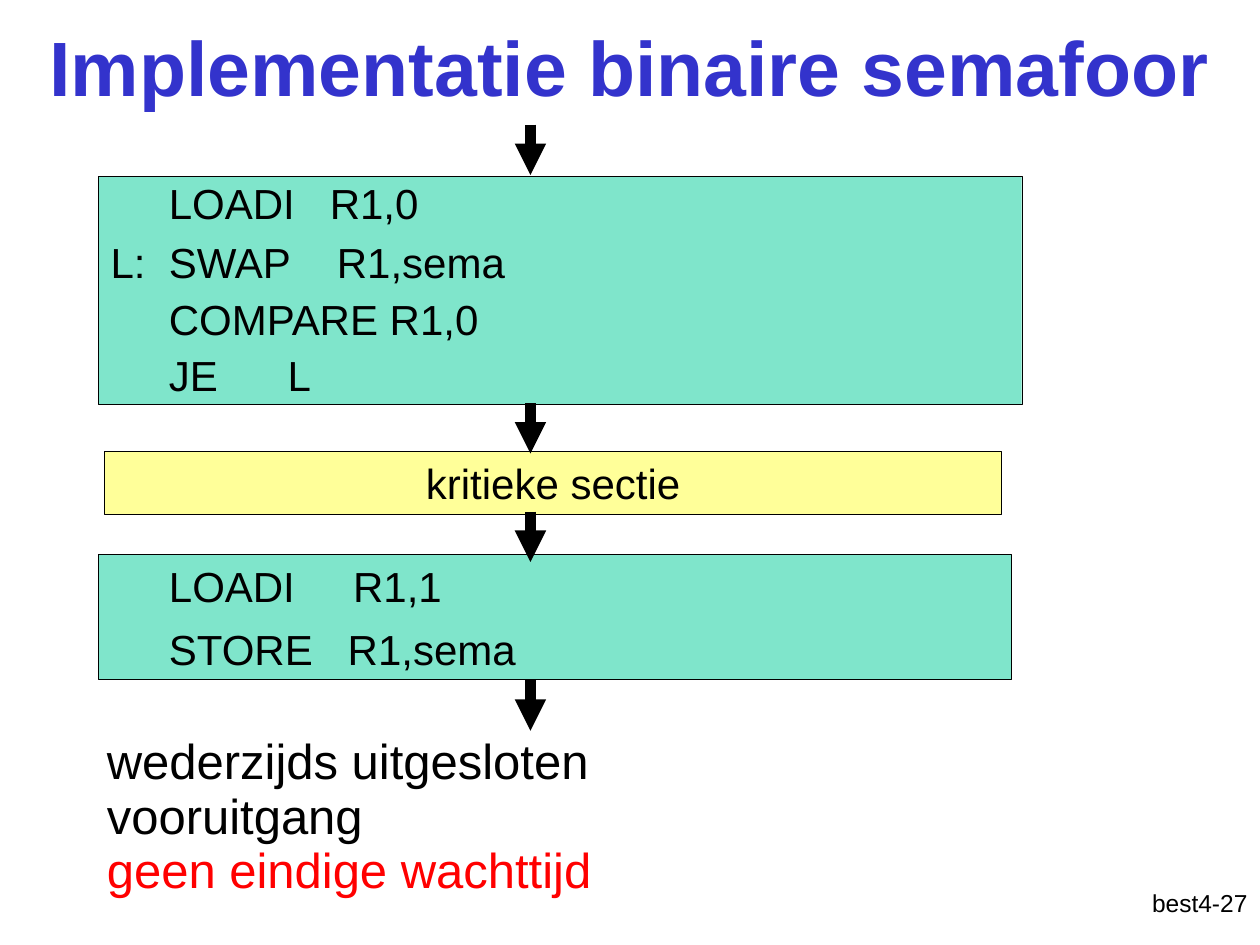
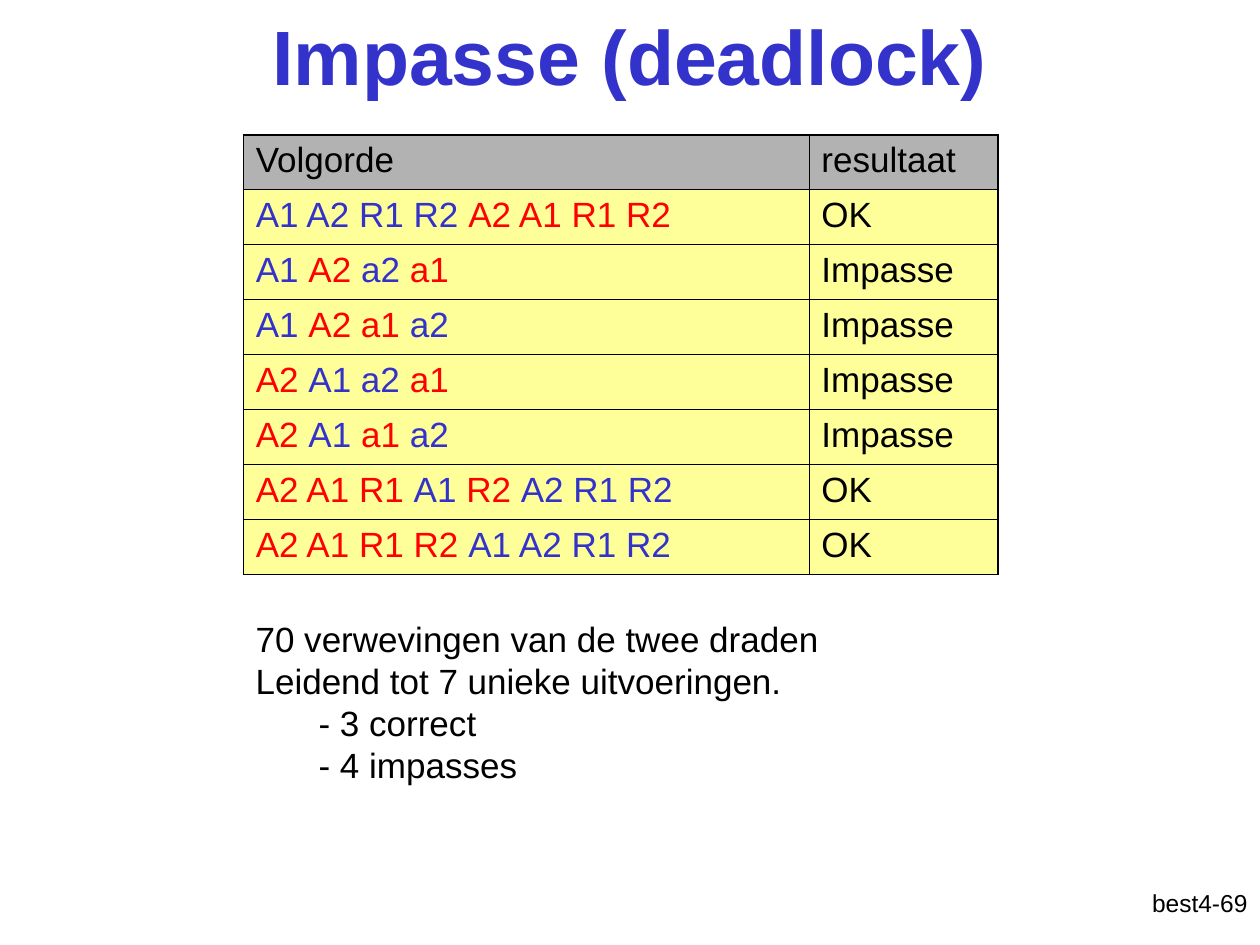
from lxml import etree
from pptx import Presentation
from pptx.dml.color import RGBColor
from pptx.enum.shapes import MSO_CONNECTOR, MSO_SHAPE
from pptx.enum.text import MSO_ANCHOR, PP_ALIGN
from pptx.oxml.ns import qn
from pptx.util import Inches, Pt

RECTANGLE = MSO_SHAPE.RECTANGLE
STRAIGHT = MSO_CONNECTOR.STRAIGHT
TOP, MIDDLE = MSO_ANCHOR.TOP, MSO_ANCHOR.MIDDLE
LEFT, CENTER, RIGHT = PP_ALIGN.LEFT, PP_ALIGN.CENTER, PP_ALIGN.RIGHT

BLACK = RGBColor(0x00, 0x00, 0x00)
BLUE = RGBColor(0x33, 0x33, 0xCC)
RED = RGBColor(0xFF, 0x00, 0x00)
GREEN = RGBColor(0x00, 0xCC, 0x99)
YELLOW = RGBColor(0xFF, 0xFF, 0x99)
GREY = RGBColor(0xB2, 0xB2, 0xB2)
FONT = "Arial"


def add_span(para, text, size, color=BLACK, bold=False):
    span = para.add_run()
    span.text = text
    span.font.name = FONT
    span.font.size = Pt(size)
    span.font.color.rgb = color
    span.font.bold = bold


def write_lines(box, lines, size, align=LEFT, anchor=TOP, before=0, bold=False):
    frame = box.text_frame
    frame.word_wrap = True
    frame.vertical_anchor = anchor
    for index, (text, spacing, color) in enumerate(lines):
        para = frame.add_paragraph() if index else frame.paragraphs[0]
        para.alignment = align
        para.line_spacing = spacing
        if index:
            para.space_before = Pt(before)
        add_span(para, text, size, color, bold)


deck = Presentation()
deck.slide_width, deck.slide_height = Inches(10), Inches(7.5)

pages = []
for title, title_top, footer in [
    ("Implementatie binaire semafoor", -0.1, "best4-27"),
    ("Impasse (deadlock)", -0.19, "best4-69"),
]:
    page = deck.slides.add_slide(deck.slide_layouts[6])
    footer_box = page.shapes.add_textbox(Inches(7.92), Inches(7), Inches(2.08), Inches(0.5))
    write_lines(footer_box, [(footer, 1.0, BLACK)], 14, RIGHT)
    title_box = page.shapes.add_textbox(0, Inches(title_top), Inches(10), Inches(1.25))
    write_lines(title_box, [(title, 1.0, BLUE)], 44, CENTER, MIDDLE, bold=True)
    pages.append(page)
semaphore_page, deadlock_page = pages

steps = [
    (0.78, 1.4, 7.33, 1.81, GREEN, LEFT, [
        ("     LOADI   R1,0", 0.9, BLACK),
        ("L:  SWAP    R1,sema", 0.6, BLACK),
        ("     COMPARE R1,0", 0.6, BLACK),
        ("     JE      L", 0.6, BLACK),
    ]),
    (0.78, 4.4, 7.25, 0.99, GREEN, LEFT, [
        ("     LOADI     R1,1", 1.0, BLACK),
        ("     STORE   R1,sema", 0.7, BLACK),
    ]),
    (0.83, 3.58, 7.12, 0.5, YELLOW, CENTER, [("kritieke sectie", 1.0, BLACK)]),
]
for left, top, width, height, color, align, lines in steps:
    step = semaphore_page.shapes.add_shape(
        RECTANGLE, Inches(left), Inches(top), Inches(width), Inches(height))
    step.shadow.inherit = False
    step.fill.solid()
    step.fill.fore_color.rgb = color
    if color == GREEN:
        tint = step._element.spPr.find(qn("a:solidFill"))[0]
        etree.SubElement(tint, qn("a:alpha"), val="50000")
    step.line.color.rgb = BLACK
    step.line.width = Pt(0.25)
    write_lines(step, lines, 24, align, MIDDLE, before=15)

properties = semaphore_page.shapes.add_textbox(
    Inches(0.75), Inches(5.95), Inches(7.92), Inches(1.2))
write_lines(properties, [
    ("wederzijds uitgesloten", 0.5, BLACK),
    ("vooruitgang", 0.4, BLACK),
    ("geen eindige wachttijd", 0.4, RED),
], 28, before=17.5)

for top in (0.99, 3.2, 4.06, 5.4):
    arrow = semaphore_page.shapes.add_connector(
        STRAIGHT, Inches(4.21), Inches(top), Inches(4.21), Inches(top + 0.4))
    arrow.line.color.rgb = BLACK
    arrow.line.width = Pt(6)
    etree.SubElement(arrow.line._get_or_add_ln(), qn("a:tailEnd"), type="triangle")
    etree.SubElement(arrow._element.spPr, qn("a:effectLst"))

rows = [
    ([("Volgorde", BLACK)], "resultaat"),
    ([("A1 A2 R1 R2 ", BLUE), ("A2 A1 R1 R2", RED)], "OK"),
    ([("A1 ", BLUE), ("A2 ", RED), ("a2 ", BLUE), ("a1", RED)], "Impasse"),
    ([("A1 ", BLUE), ("A2 a1 ", RED), ("a2", BLUE)], "Impasse"),
    ([("A2 ", RED), ("A1 a2 ", BLUE), ("a1", RED)], "Impasse"),
    ([("A2 ", RED), ("A1 ", BLUE), ("a1 ", RED), ("a2", BLUE)], "Impasse"),
    ([("A2 A1 R1 ", RED), ("A1 ", BLUE), ("R2 ", RED), ("A2 R1 R2", BLUE)], "OK"),
    ([("A2 A1 R1 R2 ", RED), ("A1 A2 R1 R2", BLUE)], "OK"),
]
orders = deadlock_page.shapes.add_table(
    len(rows), 2, Inches(1.93), Inches(1.07), Inches(5.98), Inches(3.49)).table
orders.first_row = orders.horz_banding = False
orders.columns[0].width, orders.columns[1].width = Inches(4.49), Inches(1.5)

for row_index, (order, result) in enumerate(rows):
    for column_index, spans in enumerate([order, [(result, BLACK)]]):
        cell = orders.cell(row_index, column_index)
        for text, color in spans:
            add_span(cell.text_frame.paragraphs[0], text, 20, color)
        thick_sides = {"T": row_index == 0, "R": column_index == 1}
        for side in "LRTB":
            width = Pt(1.08 if thick_sides.get(side) else 0.45)
            border = etree.SubElement(
                cell._tc.get_or_add_tcPr(), qn(f"a:ln{side}"), w=str(width))
            paint = etree.SubElement(border, qn("a:solidFill"))
            etree.SubElement(paint, qn("a:srgbClr"), val=str(BLACK))
        cell.fill.solid()
        cell.fill.fore_color.rgb = YELLOW if row_index else GREY

summary = deadlock_page.shapes.add_textbox(
    Inches(1.93), Inches(4.85), Inches(5.98), Inches(1.44))
write_lines(summary, [
    ("70 verwevingen van de twee draden", 1.0, BLACK),
    ("Leidend tot 7 unieke uitvoeringen.", 1.0, BLACK),
    ("- 3 correct", 1.0, BLACK),
    ("- 4 impasses", 1.0, BLACK),
], 20)
for para in summary.text_frame.paragraphs[2:]:
    para.level = 1
    para._p.get_or_add_pPr().set("marL", str(Inches(0.5)))
    para._p.get_or_add_pPr().set("indent", "0")

deck.save("out.pptx")
